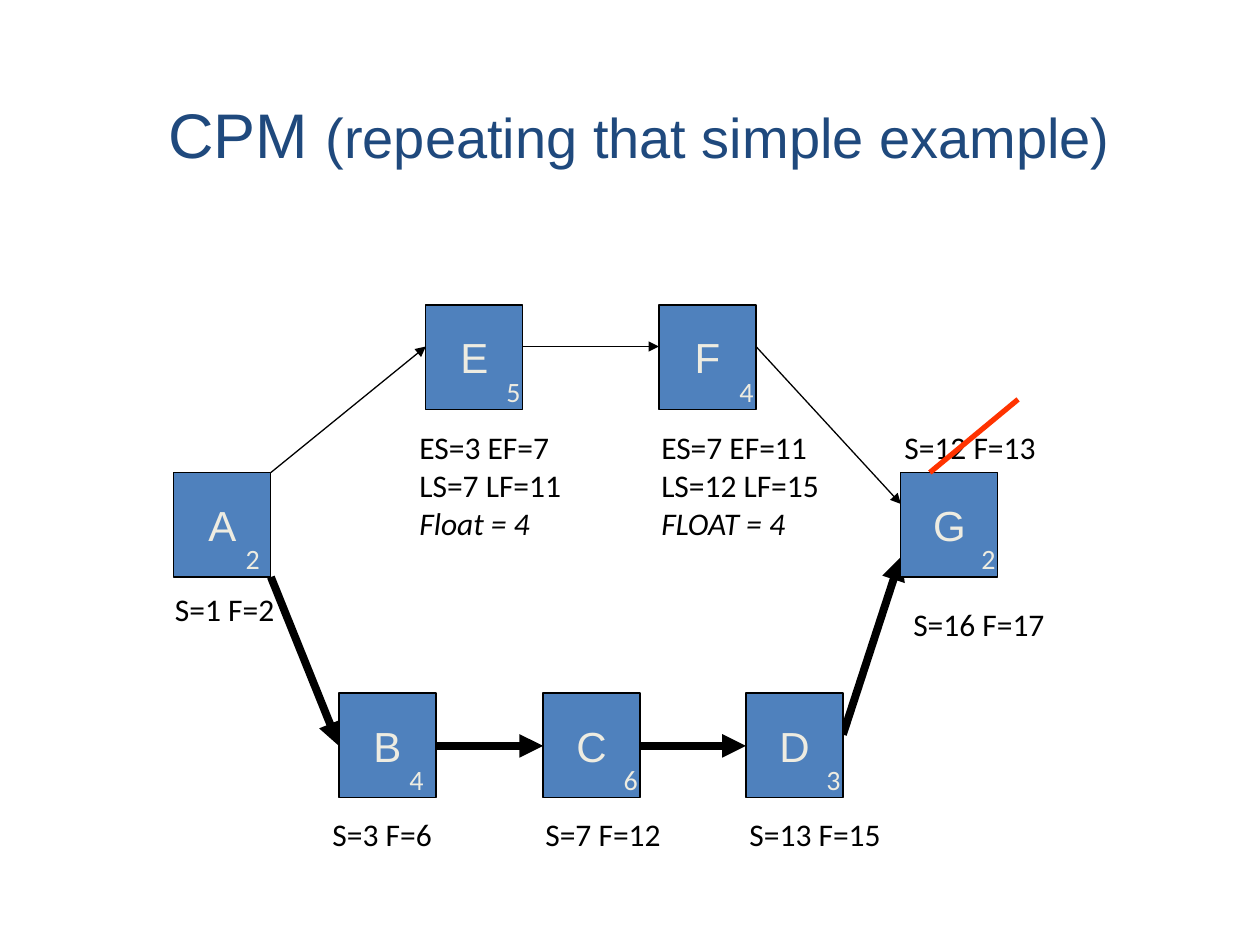
from dataclasses import dataclass

import pptx
import pptx.dml.color
import pptx.enum.shapes
import pptx.enum.text
import pptx.oxml
import pptx.oxml.ns
import pptx.util
from pptx.util import Inches, Pt

BOX_WIDTH, BOX_HEIGHT = 0.77, 0.83
TOP_ROW, MIDDLE_ROW, BOTTOM_ROW = 2.42, 3.75, 5.5
BLACK, CREAM, BLUE, NAVY, RED = "000000", "EEECE1", "4F81BD", "1F497D", "FF3300"
THIN, CRITICAL = 0.75, 4.5


@dataclass
class Task:
    name: str
    left: float
    top: float
    duration: str
    duration_left: float


@dataclass
class Link:
    start: tuple[float, float]
    end: tuple[float, float]
    width: float
    color: str = BLACK
    arrow: bool = True


@dataclass
class Schedule:
    left: float
    top: float
    width: float
    lines: tuple[str, ...]


TASKS = [
    Task("A", 1.38, MIDDLE_ROW, "2", 1.85),
    Task("E", 3.38, TOP_ROW, "5", 3.92),
    Task("F", 5.23, TOP_ROW, "4", 5.77),
    Task("G", 7.15, MIDDLE_ROW, "2", 7.69),
    Task("D", 5.92, BOTTOM_ROW, "3", 6.46),
    Task("C", 4.31, BOTTOM_ROW, "6", 4.85),
    Task("B", 2.69, BOTTOM_ROW, "4", 3.15),
]

LINKS = [
    Link((2.15, 3.75), (3.38, 2.75), THIN),
    Link((4.15, 2.75), (5.23, 2.75), THIN),
    Link((6, 2.75), (7.15, 4), THIN),
    Link((2.15, 4.58), (2.69, 5.92), CRITICAL),
    Link((3.46, 5.92), (4.31, 5.92), CRITICAL),
    Link((5.08, 5.92), (5.92, 5.92), CRITICAL),
    Link((6.69, 5.83), (7.15, 4.42), CRITICAL),
]

SCHEDULES = [
    Schedule(1.29, 4.63, 1.08, ("S=1 F=2",)),
    Schedule(3.23, 3.35, 1.51, ("ES=3 EF=7", "LS=7 LF=11", "Float = 4")),
    Schedule(5.15, 3.35, 1.64, ("ES=7 EF=11", "LS=12 LF=15", "FLOAT = 4")),
    Schedule(7.15, 4.75, 1.33, ("S=16 F=17",)),
    Schedule(2.54, 6.42, 1.08, ("S=3 F=6",)),
    Schedule(4.23, 6.42, 1.21, ("S=7 F=12",)),
    Schedule(5.85, 6.42, 1.33, ("S=13 F=15",)),
    Schedule(7.08, 3.35, 1.33, ("S=12 F=13",)),
]

STRIKE = Link((7.38, 3.75), (8.08, 3.17), 3, RED, arrow=False)


def rgb(color: str) -> pptx.dml.color.RGBColor:
    return pptx.dml.color.RGBColor.from_string(color)


def style(run, size: float, font: str, color: str) -> None:
    run.font.size = Pt(size)
    run.font.name = font
    run.font.color.rgb = rgb(color)


def add_title(slide) -> None:
    title = slide.shapes.title
    title.left, title.top = Inches(1.15), Inches(0.17)
    title.width, title.height = Inches(7.85), Inches(1.25)
    frame = title.text_frame
    frame.auto_size = pptx.enum.text.MSO_AUTO_SIZE.NONE
    frame.vertical_anchor = pptx.enum.text.MSO_ANCHOR.BOTTOM
    heading = frame.paragraphs[0]
    heading.alignment = pptx.enum.text.PP_ALIGN.CENTER
    heading.line_spacing = 0.9
    for words, size in (("CPM ", 36), ("(repeating that simple example)", 32)):
        run = heading.add_run()
        run.text = words
        style(run, size, "Arial", NAVY)


def add_task(slide, task: Task) -> None:
    box = slide.shapes.add_shape(
        pptx.enum.shapes.MSO_SHAPE.RECTANGLE,
        Inches(task.left), Inches(task.top), Inches(BOX_WIDTH), Inches(BOX_HEIGHT),
    )
    box.shadow.inherit = False
    box.fill.solid()
    box.fill.fore_color.rgb = rgb(BLUE)
    box.line.color.rgb = rgb(BLACK)
    box.line.width = Pt(THIN)
    frame = box.text_frame
    frame.text = task.name
    frame.word_wrap = False
    frame.vertical_anchor = pptx.enum.text.MSO_ANCHOR.MIDDLE
    frame.paragraphs[0].alignment = pptx.enum.text.PP_ALIGN.CENTER
    style(frame.paragraphs[0].runs[0], 24, "Arial", CREAM)


def add_link(slide, link: Link) -> None:
    connector = slide.shapes.add_connector(
        pptx.enum.shapes.MSO_CONNECTOR.STRAIGHT,
        *(Inches(value) for value in link.start + link.end),
    )
    connector.line.color.rgb = rgb(link.color)
    connector.line.width = Pt(link.width)
    if link.arrow:
        arrowhead = pptx.oxml.parse_xml(
            f'<a:tailEnd {pptx.oxml.ns.nsdecls("a")} type="triangle"/>'
        )
        connector.line._get_or_add_ln().append(arrowhead)
    no_effects = pptx.oxml.parse_xml(f'<a:effectLst {pptx.oxml.ns.nsdecls("a")}/>')
    connector._element.spPr.append(no_effects)


def add_label(slide, left: float, top: float, width: float, height: float,
              lines: tuple[str, ...], size: float, color: str) -> None:
    label = slide.shapes.add_textbox(
        Inches(left), Inches(top), Inches(width), Inches(height)
    )
    frame = label.text_frame
    frame.text = "\n".join(lines)
    frame.word_wrap = False
    frame.auto_size = pptx.enum.text.MSO_AUTO_SIZE.SHAPE_TO_FIT_TEXT
    for paragraph in frame.paragraphs:
        run = paragraph.runs[0]
        style(run, size, "Calibri", color)
        if run.text.lower().startswith("float"):
            run.font.italic = True


def main() -> None:
    deck = pptx.Presentation()
    deck.slide_width, deck.slide_height = Inches(10), Inches(7.5)
    slide = deck.slides.add_slide(deck.slide_layouts.get_by_name("Title Only"))
    add_title(slide)
    first_task, *later_tasks = TASKS
    add_task(slide, first_task)
    for link in LINKS:
        add_link(slide, link)
    for task in later_tasks:
        add_task(slide, task)
    for task in TASKS:
        add_label(slide, task.duration_left, task.top + 0.5, 0.31, 0.37,
                  (task.duration,), 16, CREAM)
    for schedule in SCHEDULES:
        height = 0.5 if len(schedule.lines) == 1 else 1.11
        add_label(slide, schedule.left, schedule.top, schedule.width, height,
                  schedule.lines, 18, BLACK)
    add_link(slide, STRIKE)
    deck.save("out.pptx")


if __name__ == "__main__":
    main()
